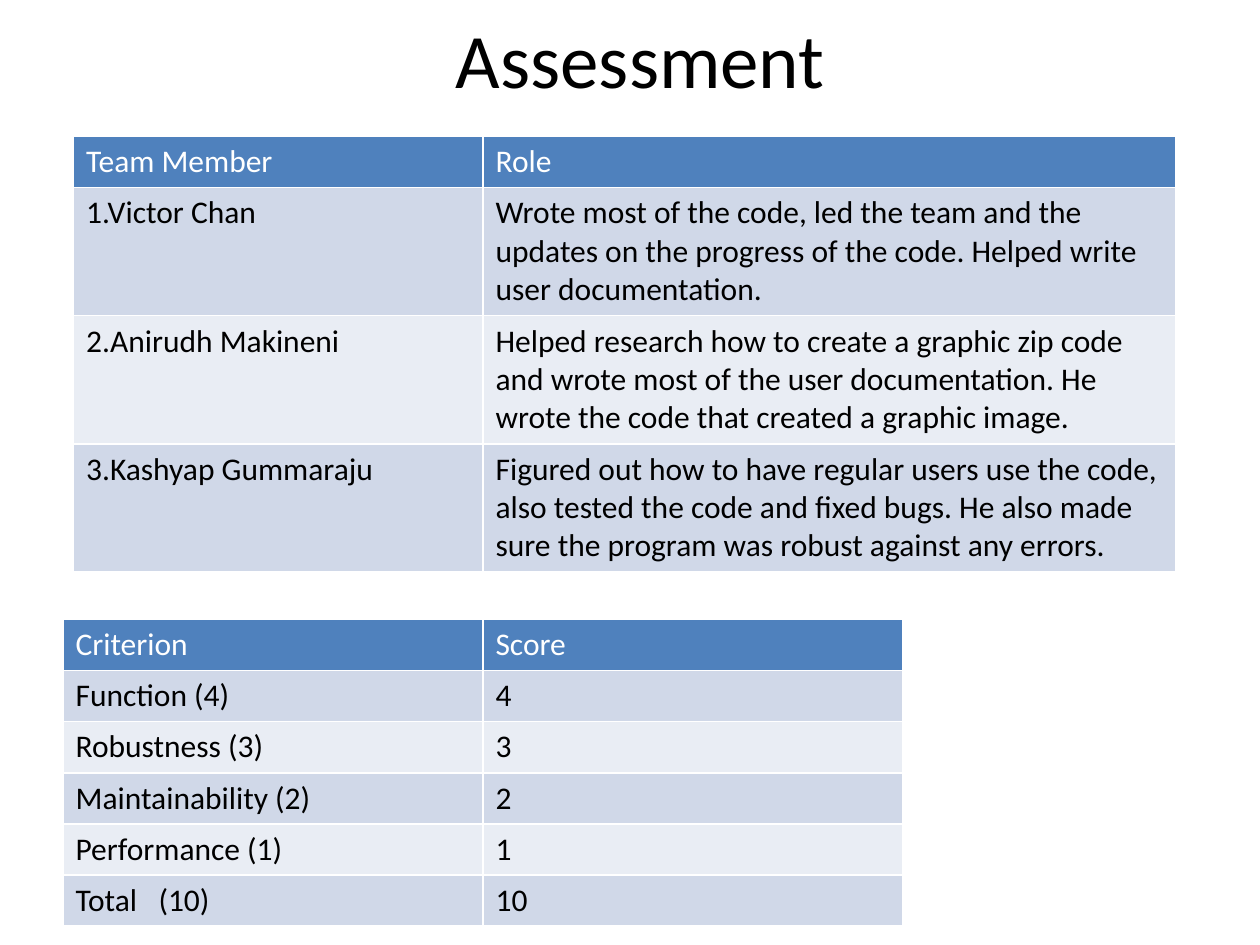
"""Build the team assessment slide with its role and score tables."""
import pptx
import pptx.dml.color
import pptx.enum.text
import pptx.util

Pt = pptx.util.Pt
RGBColor = pptx.dml.color.RGBColor

BLACK = RGBColor(0x00, 0x00, 0x00)
WHITE = RGBColor(0xFF, 0xFF, 0xFF)
HEADER_BLUE = RGBColor(0x4F, 0x81, 0xBD)
BANDS = [RGBColor(0xE9, 0xED, 0xF4), RGBColor(0xD0, 0xD8, 0xE8)]


def write(frame, text, size=18, color=BLACK, align=pptx.enum.text.PP_ALIGN.LEFT):
    paragraph = frame.paragraphs[0]
    paragraph.alignment = align
    run = paragraph.add_run()
    run.text = text
    run.font.name = "Calibri"
    run.font.size = Pt(size)
    run.font.bold = False
    run.font.color.rgb = color


roles = [
    ("Team Member", "Role"),
    ("1.Victor Chan",
     "Wrote most of the code, led the team and the updates on the progress "
     "of the code. Helped write user documentation."),
    ("2.Anirudh Makineni",
     "Helped research how to create a graphic zip code and wrote most of the "
     "user documentation. He wrote the code that created a graphic image."),
    ("3.Kashyap Gummaraju",
     "Figured out how to have regular users use the code, also tested the code "
     "and fixed bugs. He also made sure the program was robust against any errors."),
]
scores = [
    ("Criterion", "Score"),
    ("Function (4)", "4"),
    ("Robustness (3)", "3"),
    ("Maintainability (2)", "2"),
    ("Performance (1)", "1"),
    ("Total   (10)", "10"),
]
sections = [
    (roles, 42, 78, (234, 396), 73.2),
    (scores, 36, 354, (240, 240), 29.2),
]
header_height = 29.2

deck = pptx.Presentation()
deck.slide_width, deck.slide_height = Pt(720), Pt(540)
slide = deck.slides.add_slide(deck.slide_layouts[5])

heading = slide.shapes.title
heading.left, heading.top, heading.width, heading.height = Pt(42), Pt(-12), Pt(648), Pt(90)
heading.text_frame.vertical_anchor = pptx.enum.text.MSO_ANCHOR.MIDDLE
write(heading.text_frame, "Assessment", size=44, align=pptx.enum.text.PP_ALIGN.CENTER)

for entries, left, top, widths, body_height in sections:
    total_height = header_height + body_height * (len(entries) - 1)
    grid = slide.shapes.add_table(
        len(entries), len(widths), Pt(left), Pt(top), Pt(sum(widths)), Pt(total_height)
    ).table
    for column, width in zip(grid.columns, widths):
        column.width = Pt(width)
    for index, entry in enumerate(entries):
        grid.rows[index].height = Pt(body_height if index else header_height)
        for position, text in enumerate(entry):
            cell = grid.cell(index, position)
            cell.fill.solid()
            cell.fill.fore_color.rgb = BANDS[index % 2] if index else HEADER_BLUE
            write(cell.text_frame, text, color=BLACK if index else WHITE)

deck.save("out.pptx")
